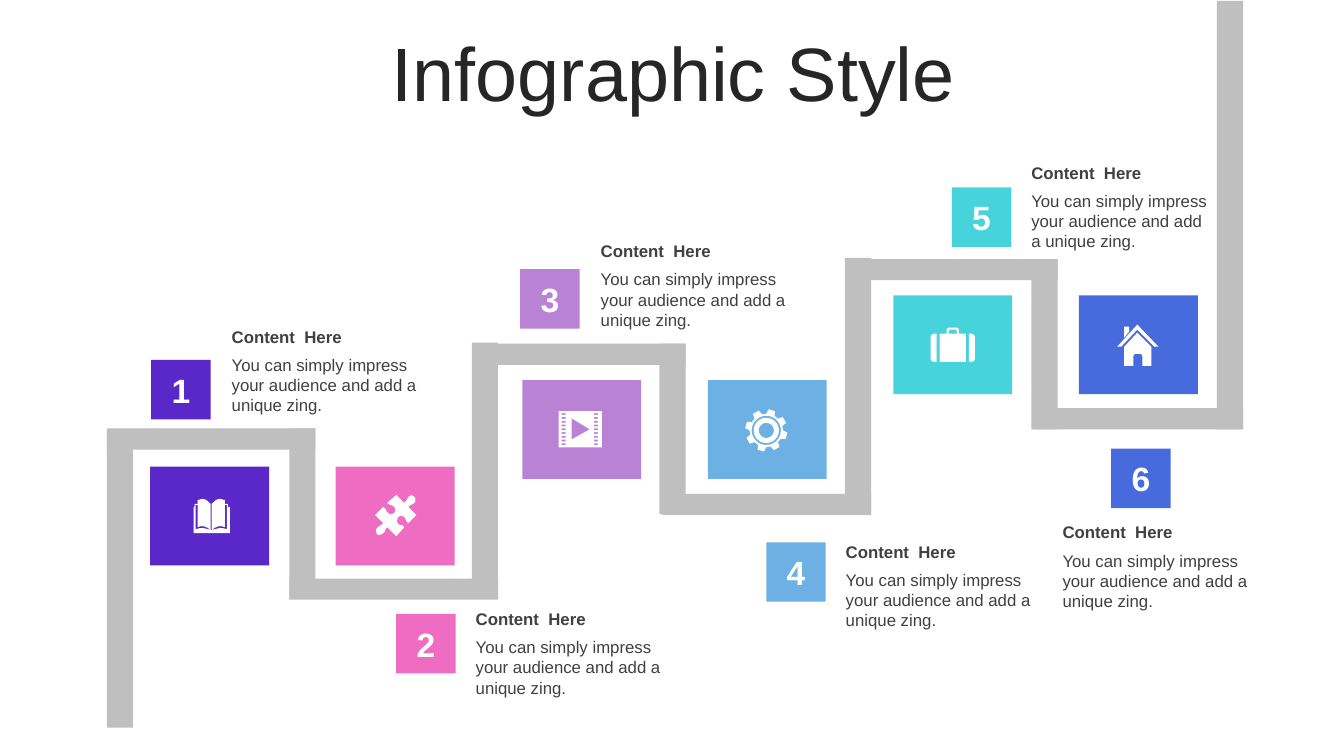
from math import cos, radians, sin

from pptx import Presentation
from pptx.dml.color import RGBColor
from pptx.enum.shapes import MSO_SHAPE as Shape
from pptx.enum.text import MSO_ANCHOR as Anchor, MSO_AUTO_SIZE as AutoSize, PP_ALIGN as Align
from pptx.util import Pt

PX = 9144
FONT = "Arial"
WHITE = RGBColor(0xFF, 0xFF, 0xFF)
INK = RGBColor(0x26, 0x26, 0x26)
TEXT = RGBColor(0x40, 0x40, 0x40)
ROAD = RGBColor(0xBF, 0xBF, 0xBF)
VIOLET = RGBColor(0x5A, 0x28, 0xC8)
PINK = RGBColor(0xEE, 0x6C, 0xC1)
LILAC = RGBColor(0xB9, 0x82, 0xD5)
SKY = RGBColor(0x6D, 0xB0, 0xE4)
TEAL = RGBColor(0x47, 0xD3, 0xDC)
BLUE = RGBColor(0x47, 0x6A, 0xDD)

HEADING = "Content  Here"
BODY = "You can simply impress your audience and add a unique zing."
ROAD_WIDTH, BAR_LENGTH, BAR_HEIGHT = 26, 207, 21

POSTS = [(106, 427, 722), (287, 425, 594), (468, 340, 594), (654, 341, 510),
         (838, 256, 510), (1023, 257, 426), (1207, 1, 426)]
BAR_TOPS = [425, 574, 341, 490, 257, 405]

# colour, tile corner, badge corner, caption corner, caption width
STEPS = [
    (VIOLET, (149, 463), (150, 357), (220, 319), 207),
    (PINK, (333, 463), (393, 609), (462, 599), 207),
    (LILAC, (518, 377), (516, 267), (586, 234), 207),
    (SKY, (702, 377), (760, 538), (829, 532), 207),
    (TEAL, (886, 293), (944, 186), (1013, 156), 198),
    (BLUE, (1070, 293), (1102, 445), (1044, 513), 207),
]

BOOK = [
    [(192, 529), (192, 503), (193, 503), (193, 500), (196, 500), (196, 496),
     (198, 496, 199, 495, 201, 495), (204, 495, 206, 497, 209, 500), (210, 500),
     (213, 497, 215, 495, 218, 495), (220, 495, 221, 496, 223, 496),
     (223, 500), (226, 500), (226, 503), (228, 503), (228, 529)],
    [(196, 501), (194, 501), (194, 525), (200, 523, 204, 524, 209, 526),
     (205, 522, 200, 521, 196, 523)],
    [(223, 501), (225, 501), (225, 525), (219, 523, 216, 524, 210, 526),
     (214, 522, 219, 521, 223, 523)],
    [(209, 500), (210, 500), (210, 526), (209, 526)],
]
PUZZLE = [[
    (411, 493), (412, 494, 413, 497, 411, 499), (409, 501, 407, 500, 405, 503),
    (413, 511), (405, 519), (402, 517, 403, 515, 401, 513),
    (399, 511, 396, 512, 395, 513), (394, 515, 393, 517, 395, 520),
    (398, 522, 399, 520, 401, 523), (393, 532), (384, 523),
    (381, 526, 383, 527, 380, 529), (378, 531, 375, 531, 374, 530),
    (373, 528, 372, 525, 374, 524), (376, 521, 378, 522, 380, 519),
    (372, 511), (380, 503), (384, 505, 382, 507, 385, 509),
    (387, 511, 389, 510, 391, 509), (392, 508, 393, 505, 391, 503),
    (388, 500, 387, 502, 384, 499), (393, 491), (401, 499),
    (404, 496, 403, 496, 405, 493), (407, 491, 410, 491, 411, 493),
]]
CASE = [
    [(961, 331), (963, 331), (965, 331, 967, 333, 967, 334), (967, 356),
     (967, 358, 965, 359, 963, 359), (961, 359)],
    [(927, 331), (929, 331), (929, 359), (927, 359), (925, 359, 923, 358, 923, 356),
     (923, 334), (923, 333, 925, 331, 927, 331)],
    [(941, 325), (949, 325), (950, 325, 951, 326, 951, 327), (951, 331), (958, 331),
     (958, 359), (932, 359), (932, 331), (939, 331), (939, 327),
     (939, 326, 940, 325, 941, 325)],
    [(943, 327), (942, 327, 941, 328, 941, 329), (941, 331), (949, 331), (949, 329),
     (949, 328, 948, 327, 947, 327)],
]
HOUSE = [
    [(1128, 330), (1142, 344), (1142, 363), (1133, 363), (1133, 354),
     (1133, 353, 1132, 351, 1131, 351), (1126, 351), (1125, 351, 1124, 353, 1124, 354),
     (1124, 363), (1115, 363), (1115, 344)],
    [(1115, 324), (1120, 324), (1120, 329), (1115, 335)],
    [(1128, 322), (1149, 344), (1145, 344), (1128, 327), (1112, 344), (1108, 344)],
]


def box_outline(left, top, width, height):
    right, bottom = left + width, top + height
    return [(left, top), (right, top), (right, bottom), (left, bottom)]


def film_outlines():
    holes = [box_outline(left, 410 + 3.75 * row, 4, 1.75)
             for left in (557, 589) for row in range(9)]
    return [box_outline(554, 408, 43, 36), [(567, 415), (585, 426), (567, 436)], *holes]


def gear_outlines():
    def around(angle, radius):
        return 760 + radius * cos(radians(angle)), 427 + radius * sin(radians(angle))

    teeth = [around(15 + 45 * tooth + turn, radius) for tooth in range(8)
             for turn, radius in ((-15, 16.5), (-9, 21), (9, 21), (15, 16.5))]
    rings = [[around(angle, radius) for angle in range(0, 360, 10)]
             for radius in (14.5, 12.5, 7.5)]
    return [teeth, *rings]


def trace(outline):
    points = []
    for step in outline:
        if len(step) == 2:
            points.append(step)
            continue
        start, first, second, end = points[-1], step[:2], step[2:4], step[4:]
        for t in (0.25, 0.5, 0.75, 1):
            s = 1 - t
            points.append(tuple(
                s**3 * a + 3 * s * s * t * b + 3 * s * t * t * c + t**3 * d
                for a, b, c, d in zip(start, first, second, end)))
    return [(round(x * PX), round(y * PX)) for x, y in points]


def paint(shape, color):
    shape.shadow.inherit = False
    shape.fill.solid()
    shape.fill.fore_color.rgb = color
    shape.line.fill.background()


def add_block(page, left, top, width, height, color):
    block = page.shapes.add_shape(Shape.RECTANGLE, left * PX, top * PX, width * PX, height * PX)
    paint(block, color)
    return block


def add_icon(page, outlines):
    first, *others = [trace(outline) for outline in outlines]
    builder = page.shapes.build_freeform(*first[0])
    builder.add_line_segments(first[1:], close=True)
    for points in others:
        builder.move_to(*points[0])
        builder.add_line_segments(points[1:], close=True)
    paint(builder.convert_to_shape(), WHITE)


def write(shape, text, size, color, bold=False, align=Align.LEFT, anchor=Anchor.MIDDLE):
    frame = shape.text_frame
    frame.text = text
    frame.word_wrap = True
    frame.auto_size = AutoSize.NONE
    frame.vertical_anchor = anchor
    para = frame.paragraphs[0]
    para.alignment = align
    font = para.runs[0].font
    font.name, font.size, font.bold = FONT, Pt(size), bold
    font.color.rgb = color


def add_text(page, left, top, width, height, text, **style):
    box = page.shapes.add_textbox(left * PX, top * PX, width * PX, height * PX)
    write(box, text, 12, TEXT, **style)


def add_title(page):
    title = page.shapes.title
    title.left, title.top, title.width, title.height = 35 * PX, 37 * PX, 1266 * PX, 79 * PX
    write(title, "Infographic Style", 54, INK, align=Align.CENTER)
    title.text_frame.paragraphs[0].line_spacing = 0.9


def add_road(page):
    for left, top, bottom in POSTS:
        add_block(page, left, top, ROAD_WIDTH, bottom - top, ROAD)
    for (left, _, _), top in zip(POSTS[1:], BAR_TOPS):
        add_block(page, left + ROAD_WIDTH - BAR_LENGTH, top, BAR_LENGTH, BAR_HEIGHT, ROAD)


def add_step(page, number, color, tile, badge, caption, width):
    add_block(page, *tile, 118, 98, color)
    marker = add_block(page, *badge, 59, 59, color)
    write(marker, str(number), 24, WHITE, bold=True, align=Align.CENTER)
    left, top = caption
    add_text(page, left, top, width, 30, HEADING, bold=True)
    add_text(page, left, top + 28, width, 71, BODY, anchor=Anchor.TOP)


def main():
    deck = Presentation()
    deck.slide_width, deck.slide_height = 1333 * PX, 750 * PX
    page = deck.slides.add_slide(deck.slide_layouts[5])
    add_title(page)
    add_road(page)
    for number, step in enumerate(STEPS, 1):
        add_step(page, number, *step)
    for outlines in (BOOK, PUZZLE, film_outlines(), gear_outlines(), CASE, HOUSE):
        add_icon(page, outlines)
    deck.save("out.pptx")


if __name__ == "__main__":
    main()
